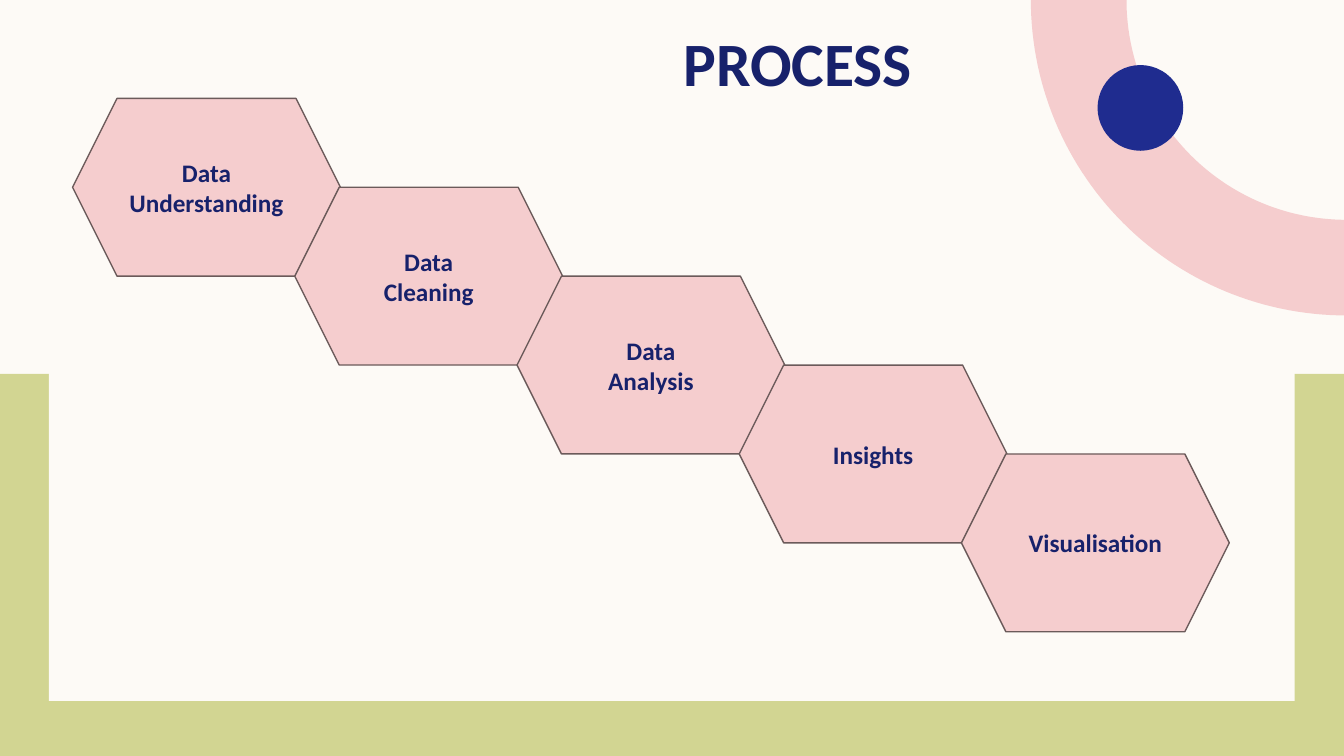
from math import cos, pi, sin

from pptx import Presentation
from pptx.dml.color import RGBColor
from pptx.enum.shapes import MSO_SHAPE as Shape
from pptx.enum.text import MSO_ANCHOR as Anchor, PP_ALIGN as Align
from pptx.util import Cm, Pt

CREAM = RGBColor(0xFD, 0xFA, 0xF6)
OLIVE = RGBColor(0xD2, 0xD5, 0x92)
PINK = RGBColor(0xF5, 0xCD, 0xCE)
BLUE = RGBColor(0x1F, 0x2C, 0x8F)
NAVY = RGBColor(0x17, 0x21, 0x6B)
OUTLINE = RGBColor(0x6B, 0x5A, 0x5A)

WIDTH, HEIGHT = 33.87, 19.05
STEPS = ["Data\nUnderstanding", "Data\nCleaning", "Data\nAnalysis",
         "Insights", "Visualisation"]


def write_text(frame, text, size=18, color=NAVY, align=Align.LEFT,
               anchor=Anchor.TOP):
    """Fill a text frame, one paragraph per line of text."""
    frame.word_wrap = True
    frame.vertical_anchor = anchor
    for index, line in enumerate(text.split("\n")):
        paragraph = frame.add_paragraph() if index else frame.paragraphs[0]
        paragraph.alignment = align
        run = paragraph.add_run()
        run.text = line
        run.font.name = "Calibri"
        run.font.size = Pt(size)
        run.font.bold = True
        run.font.color.rgb = color


class SlideBuilder:
    """Draws on one slide; all lengths are in centimetres."""

    def __init__(self, slide):
        self.slide = slide
        slide.background.fill.solid()
        slide.background.fill.fore_color.rgb = CREAM

    def style(self, shape, fill, line=None):
        shape.shadow.inherit = False
        shape.fill.solid()
        shape.fill.fore_color.rgb = fill
        if line is None:
            shape.line.fill.background()
        else:
            shape.line.color.rgb = line
            shape.line.width = Pt(1)
        return shape

    def preset(self, kind, left, top, width, height, fill, line=None):
        shape = self.slide.shapes.add_shape(
            kind, Cm(left), Cm(top), Cm(width), Cm(height))
        return self.style(shape, fill, line)

    def quarter_ring(self, center_x, outer, inner, fill, segments=60):
        """Lower left quarter of a ring, centred on the top edge."""
        def arc(radius):
            angles = [pi - pi / 2 * i / segments for i in range(segments + 1)]
            return [(Cm(min(center_x + radius * cos(angle), WIDTH)),
                     Cm(radius * sin(angle))) for angle in angles]

        points = arc(outer) + arc(inner)[::-1]
        builder = self.slide.shapes.build_freeform(*points[0])
        builder.add_line_segments(points[1:], close=True)
        return self.style(builder.convert_to_shape(), fill)

    def text_box(self, left, top, width, height, text, **text_format):
        box = self.slide.shapes.add_textbox(
            Cm(left), Cm(top), Cm(width), Cm(height))
        write_text(box.text_frame, text, **text_format)


def main():
    presentation = Presentation()
    presentation.slide_width = Cm(WIDTH)
    presentation.slide_height = Cm(HEIGHT)
    slide = presentation.slides.add_slide(presentation.slide_layouts[6])
    builder = SlideBuilder(slide)

    # Frame around the lower half
    builder.preset(Shape.RECTANGLE, 0, 9.42, WIDTH, HEIGHT - 9.42, OLIVE)
    builder.preset(Shape.RECTANGLE, 1.23, 0.92, 31.4, 16.74, CREAM)

    # Corner ring and dot
    builder.quarter_ring(33.93, 7.95, 5.54, PINK)
    builder.preset(Shape.OVAL, 27.66, 1.64, 2.16, 2.16, BLUE)

    # Staircase of process steps
    for index, step in enumerate(STEPS):
        hexagon = builder.preset(Shape.HEXAGON, 1.83 + 5.6 * index,
                                 2.48 + 2.24 * index, 6.75, 4.48,
                                 PINK, OUTLINE)
        write_text(hexagon.text_frame, step, align=Align.CENTER,
                   anchor=Anchor.MIDDLE)

    # Title
    builder.text_box(16.97, 0.51, 8.41, 2.13, "PROCESS", size=44)

    presentation.save("out.pptx")


if __name__ == "__main__":
    main()
